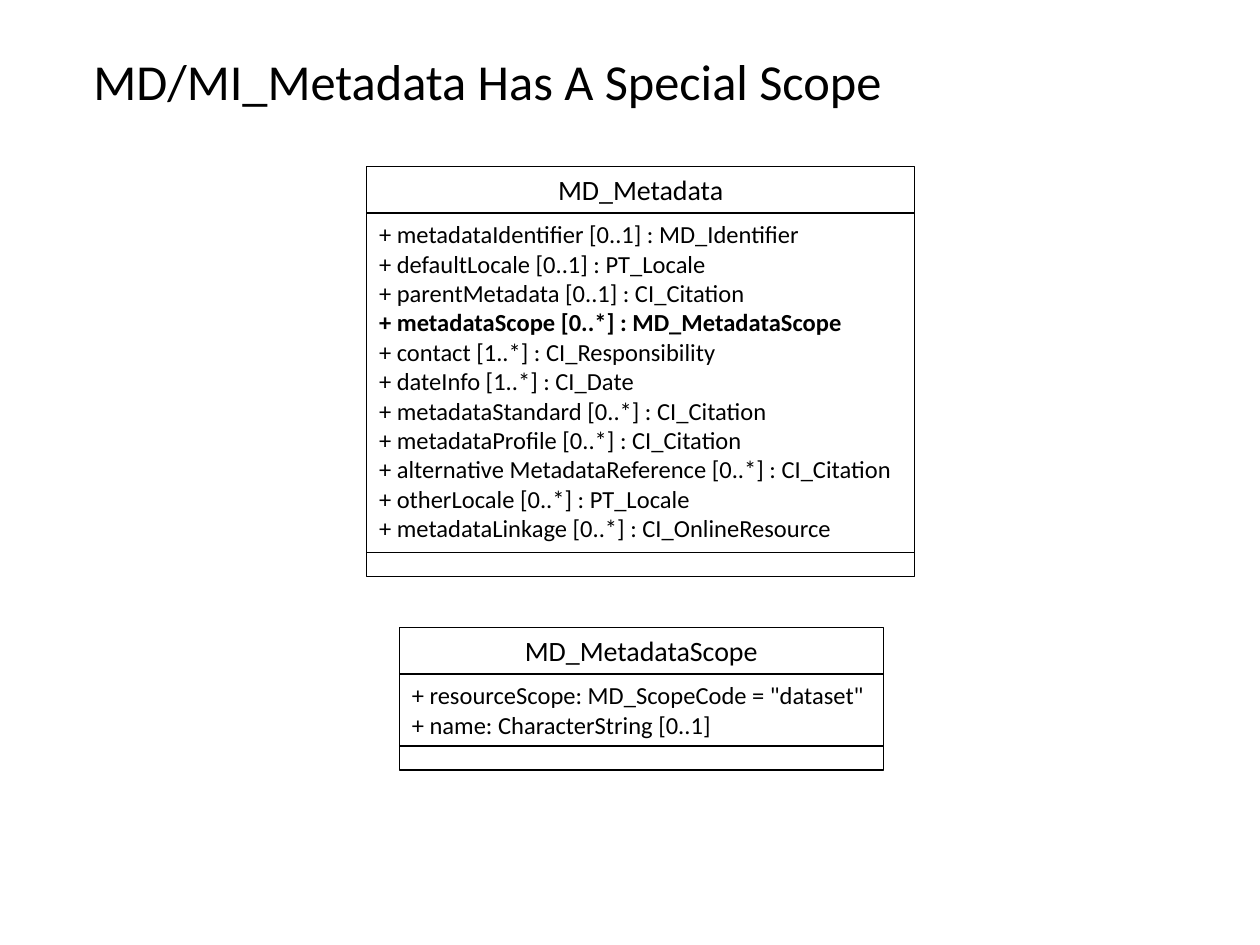
import dataclasses

import pptx
import pptx.dml.color
import pptx.enum.shapes
import pptx.enum.text
import pptx.util

Inches = pptx.util.Inches
Pt = pptx.util.Pt
Align = pptx.enum.text.PP_ALIGN
Anchor = pptx.enum.text.MSO_ANCHOR
Fit = pptx.enum.text.MSO_AUTO_SIZE


@dataclasses.dataclass(frozen=True)
class Theme:
    font: str = "Calibri"
    ink: pptx.dml.color.RGBColor = pptx.dml.color.RGBColor(0, 0, 0)
    title: float = Pt(28.8)
    name: int = Pt(16)
    field: int = Pt(14)
    line: float = Pt(0.75)


THEME = Theme()
HEAD = Inches(0.37)
FOOT = Inches(0.19)
ROW = Pt(17)
PAD = Inches(0.1)

METADATA = [
    "+ metadataIdentifier [0..1] : MD_Identifier",
    "+ defaultLocale [0..1] : PT_Locale",
    "+ parentMetadata [0..1] : CI_Citation",
    "+ metadataScope [0..*] : MD_MetadataScope",
    "+ contact [1..*] : CI_Responsibility",
    "+ dateInfo [1..*] : CI_Date",
    "+ metadataStandard [0..*] : CI_Citation",
    "+ metadataProfile [0..*] : CI_Citation",
    "+ alternative MetadataReference [0..*] : CI_Citation",
    "+ otherLocale [0..*] : PT_Locale",
    "+ metadataLinkage [0..*] : CI_OnlineResource",
]
SCOPE = [
    '+ resourceScope: MD_ScopeCode = "dataset"',
    "+ name: CharacterString [0..1]",
]


def style(para, size, align, bold=False):
    para.alignment = align
    para.font.name = THEME.font
    para.font.size = size
    para.font.bold = bold
    para.font.color.rgb = THEME.ink


def add_title(slide, text, left, top, width, height):
    title = slide.shapes.title
    title.left, title.top, title.width, title.height = left, top, width, height
    frame = title.text_frame
    frame.text = text
    frame.auto_size = Fit.NONE
    frame.vertical_anchor = Anchor.MIDDLE
    style(frame.paragraphs[0], THEME.title, Align.LEFT)


def add_part(group, left, top, width, height):
    """Add one outlined compartment of a class box."""
    part = group.shapes.add_shape(
        pptx.enum.shapes.MSO_SHAPE.RECTANGLE, left, top, width, height)
    part.shadow.inherit = False
    part.fill.background()
    part.line.color.rgb = THEME.ink
    part.line.width = THEME.line
    return part


def fill_part(part, lines, size, align, strong=None):
    frame = part.text_frame
    frame.word_wrap = True
    frame.auto_size = Fit.SHAPE_TO_FIT_TEXT
    frame.vertical_anchor = Anchor.TOP
    frame.text = "\n".join(lines)
    for line, para in zip(lines, frame.paragraphs):
        style(para, size, align, line == strong)


def add_class(slide, name, fields, left, top, width, strong=None):
    """Add a UML class: name, fields and an empty operations part."""
    group = slide.shapes.add_group_shape()
    head = add_part(group, left, top, width, HEAD)
    fill_part(head, [name], THEME.name, Align.CENTER)
    body_top = top + HEAD
    body_height = PAD + ROW * len(fields)
    body = add_part(group, left, body_top, width, body_height)
    fill_part(body, fields, THEME.field, Align.LEFT, strong)
    add_part(group, left, body_top + body_height, width, FOOT)


def main():
    deck = pptx.Presentation()
    deck.slide_width, deck.slide_height = Inches(10), Inches(7.5)
    slide = deck.slides.add_slide(deck.slide_layouts.get_by_name("Title Only"))
    add_title(slide, "MD/MI_Metadata Has A Special Scope",
              Inches(0.64), Inches(0.33), Inches(9), Inches(0.61))
    add_class(slide, "MD_Metadata", METADATA,
              Inches(2.91), Inches(1.32), Inches(4.35), strong=METADATA[3])
    add_class(slide, "MD_MetadataScope", SCOPE,
              Inches(3.17), Inches(4.98), Inches(3.84))
    deck.save("out.pptx")


if __name__ == "__main__":
    main()
